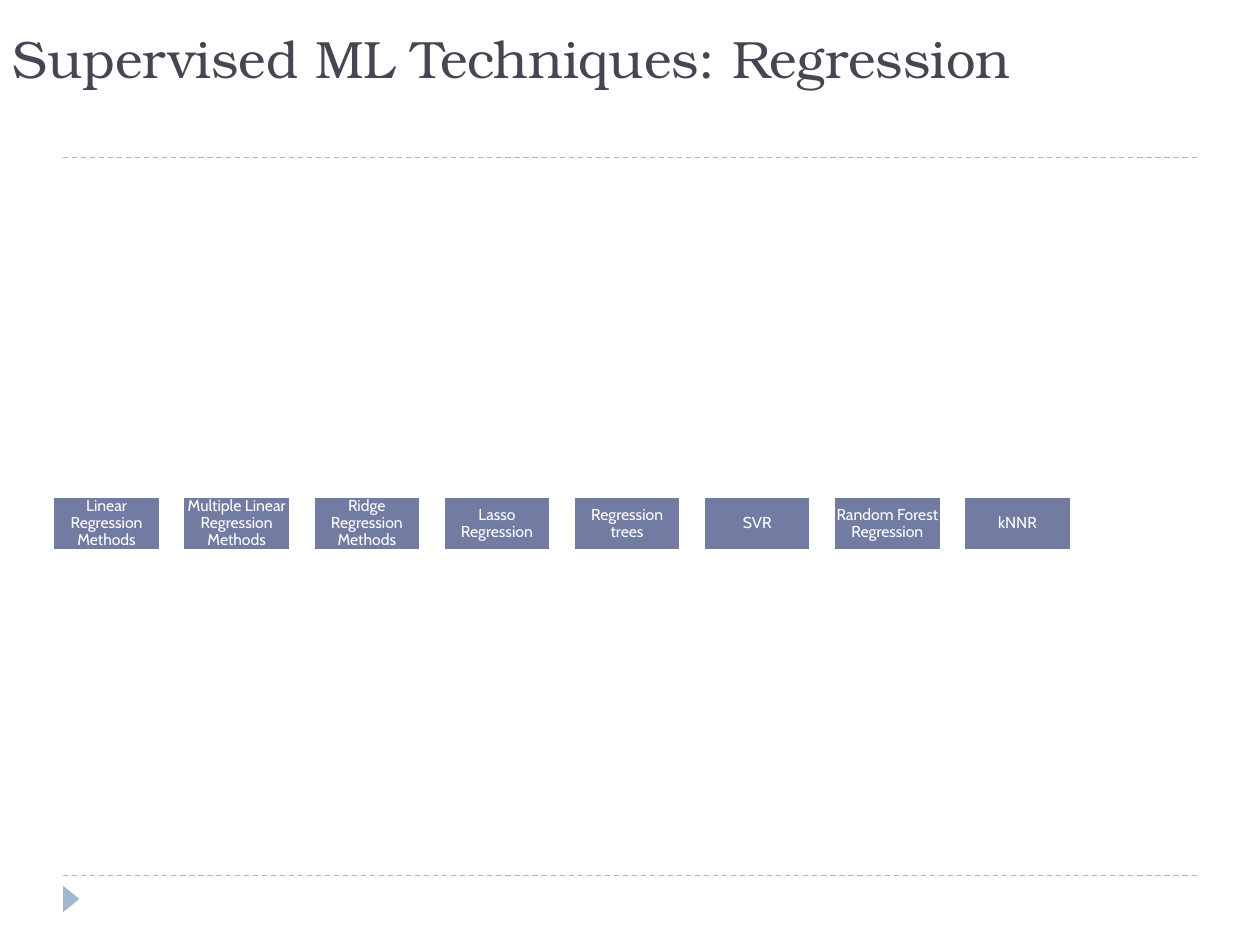
import pptx
import pptx.util
from lxml import etree
from pptx.dml.color import RGBColor
from pptx.enum.dml import MSO_LINE
from pptx.enum.shapes import MSO_CONNECTOR, MSO_SHAPE
from pptx.enum.text import MSO_ANCHOR, PP_ALIGN
from pptx.oxml.ns import qn
from pptx.util import Inches

COLORS = {"title": "464653", "box": "727CA3", "rule": "9FB8CD", "white": "FFFFFF"}
TECHNIQUES = [
    "Linear Regression Methods",
    "Multiple Linear Regression Methods",
    "Ridge Regression Methods",
    "Lasso Regression",
    "Regression trees",
    "SVR",
    "Random Forest Regression",
    "kNNR",
]


def rgb(name):
    return RGBColor.from_string(COLORS[name])


def write(tf, text, *, size, font, color, align, anchor, spacing, insets):
    """Fill a text frame with one formatted paragraph; insets are (x, y) inches."""
    tf.word_wrap = True
    tf.vertical_anchor = anchor
    tf.margin_left = tf.margin_right = Inches(insets[0])
    tf.margin_top = tf.margin_bottom = Inches(insets[1])
    p = tf.paragraphs[0]
    p.alignment = align
    p.line_spacing = spacing
    p.space_before = pptx.util.Pt(0)
    r = p.add_run()
    r.text = text
    r.font.size = pptx.util.Pt(size)
    r.font.name = font
    r.font.color.rgb = rgb(color)


def add_rule(s, left, top, width):
    line = s.shapes.add_connector(
        MSO_CONNECTOR.STRAIGHT, Inches(left), Inches(top), Inches(left + width), Inches(top))
    line.line.color.rgb = rgb("rule")
    line.line.width = pptx.util.Pt(0.75)
    line.line.dash_style = MSO_LINE.DASH
    etree.SubElement(line._element.spPr, qn("a:effectLst"))


def add_filled(s, kind, left, top, width, height, color):
    sp = s.shapes.add_shape(kind, Inches(left), Inches(top), Inches(width), Inches(height))
    sp.shadow.inherit = False
    sp.fill.solid()
    sp.fill.fore_color.rgb = rgb(color)
    return sp


def add_frame(s, left, top, width, height):
    """Dashed rules above and below the content, with the footer marker."""
    add_rule(s, left, top + height, width)
    add_rule(s, left, top, width)
    marker = add_filled(s, MSO_SHAPE.ISOSCELES_TRIANGLE,
                        left - 0.04, top + height + 0.12, 0.21, 0.13, "rule")
    marker.rotation = 90
    marker.line.fill.background()


def add_techniques(s, left, top, width, height, box_width=0.85):
    """Equal boxes spread evenly across the given width."""
    pitch = (width - box_width) / (len(TECHNIQUES) - 1)
    for i, name in enumerate(TECHNIQUES):
        sp = add_filled(s, MSO_SHAPE.RECTANGLE, left + i * pitch, top, box_width, height, "box")
        sp.line.color.rgb = rgb("white")
        sp.line.width = pptx.util.Pt(1.5)
        write(sp.text_frame, name, size=9, font="Cabin", color="white",
              align=PP_ALIGN.CENTER, anchor=MSO_ANCHOR.MIDDLE, spacing=0.9, insets=(0.01, 0.01))


def set_title(s, left, top, width, height):
    title = s.shapes.title
    title.left, title.top = Inches(left), Inches(top)
    title.width, title.height = Inches(width), Inches(height)
    write(title.text_frame, "Supervised ML Techniques: Regression", size=30,
          font="TeX Gyre Bonum", color="title", align=PP_ALIGN.LEFT,
          anchor=MSO_ANCHOR.TOP, spacing=0.8, insets=(0.1, 0.05))


def main():
    prs = pptx.Presentation()
    prs.slide_width, prs.slide_height = Inches(10), Inches(7.5)
    s = prs.slides.add_slide(prs.slide_layouts[5])
    s.background.fill.solid()
    s.background.fill.fore_color.rgb = rgb("white")
    add_frame(s, 0.5, 1.25, 9, 5.7)
    add_techniques(s, 0.42, 3.94, 8.08, 0.43)
    set_title(s, 0, 0.25, 8.91, 0.67)
    prs.save("out.pptx")


if __name__ == "__main__":
    main()
